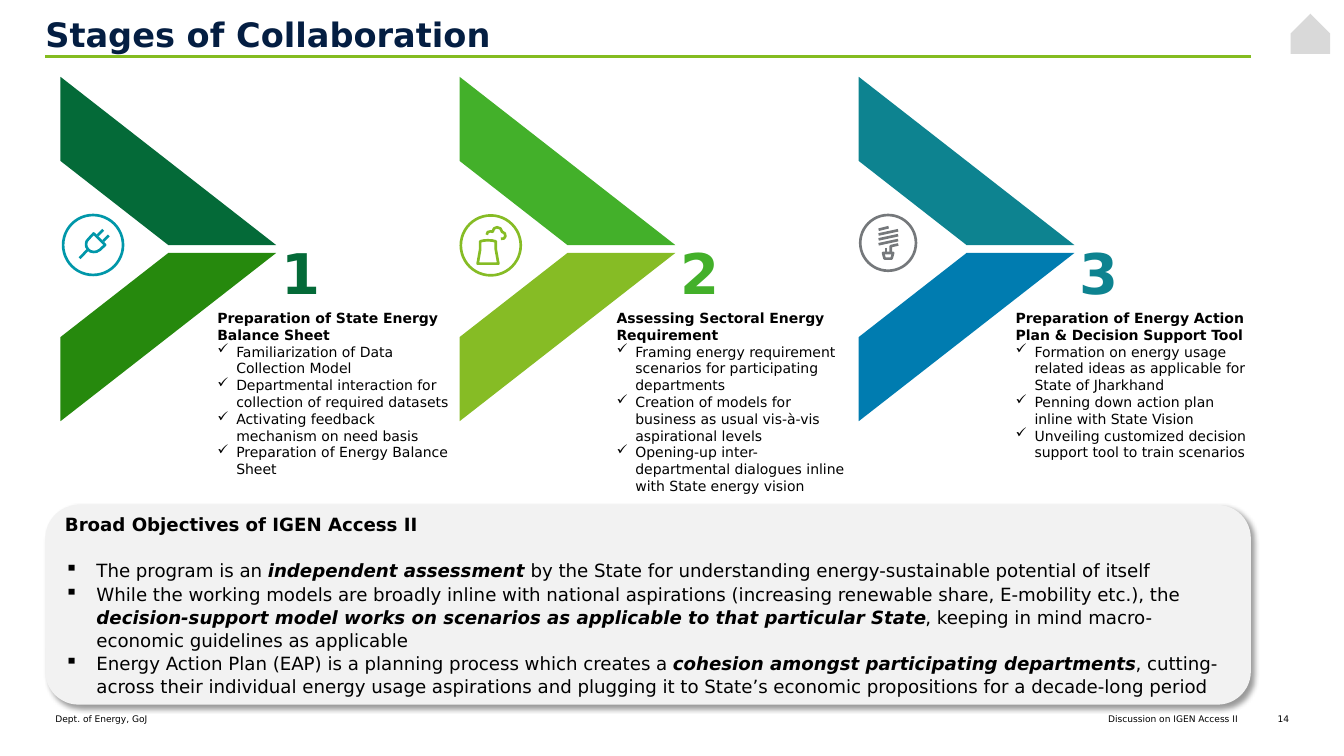
from lxml import etree
from pptx import Presentation
from pptx import util as u
from pptx.dml.color import RGBColor
from pptx.enum import shapes, text
from pptx.oxml import ns

Pt = u.Pt
NAVY = RGBColor(0x04, 0x1E, 0x42)
BLACK = RGBColor(0, 0, 0)
RULE_GREEN = RGBColor(0x84, 0xBC, 0x20)
DARK_GREEN = RGBColor(0x04, 0x6A, 0x38)
MID_GREEN = RGBColor(0x26, 0x89, 0x0D)
BRIGHT_GREEN = RGBColor(0x43, 0xB0, 0x2A)
LIME = RGBColor(0x86, 0xBC, 0x25)
TEAL = RGBColor(0x0D, 0x83, 0x90)
BLUE = RGBColor(0x00, 0x7C, 0xB0)
CYAN = RGBColor(0x00, 0x97, 0xA9)
GRAY = RGBColor(0x75, 0x78, 0x7B)
PANEL_GRAY = RGBColor(0xF2, 0xF2, 0xF2)
HOME_GRAY = RGBColor(0xD9, 0xD9, 0xD9)
LEFT, RIGHT = text.PP_ALIGN.LEFT, text.PP_ALIGN.RIGHT
TOP, MIDDLE = text.MSO_ANCHOR.TOP, text.MSO_ANCHOR.MIDDLE


def sub(parent, tag, **attributes):
    child = etree.SubElement(parent, ns.qn(tag))
    for key, value in attributes.items():
        child.set(key, str(value))
    return child


def write(frame, content, size, color=BLACK, bold=False, align=LEFT, bullet=None,
          indent=0, spacing=None, after=0, font="DejaVu Sans"):
    first = frame.paragraphs[0]
    paragraph = frame.add_paragraph() if first.runs else first
    if bullet:
        properties = paragraph._p.get_or_add_pPr()
        properties.set("marL", str(Pt(indent)))
        properties.set("indent", str(-Pt(indent)))
        sub(properties, "a:buChar", char=bullet)
    paragraph.alignment = align
    paragraph.space_before = Pt(0)
    paragraph.space_after = Pt(after)
    if spacing:
        paragraph.line_spacing = spacing
    pieces = [content] if isinstance(content, str) else content
    for position, piece in enumerate(pieces):
        emphasised = position % 2 == 1
        run = paragraph.add_run()
        run.text = piece
        run.font.name = font
        run.font.size = Pt(size)
        run.font.color.rgb = color
        run.font.bold = bold or emphasised
        run.font.italic = emphasised


class StageSlide:
    stroke = 1.9

    def __init__(self, presentation):
        self.slide = presentation.slides.add_slide(presentation.slide_layouts[5])
        self.items = self.slide.shapes

    def prepare(self, frame, inset=0, anchor=TOP):
        frame.word_wrap = True
        frame.auto_size = text.MSO_AUTO_SIZE.NONE
        frame.vertical_anchor = anchor
        frame.margin_left = frame.margin_right = Pt(inset)
        frame.margin_top = frame.margin_bottom = Pt(inset)
        return frame

    def title(self, content, x, y, w, h):
        heading = self.items.title
        heading.left, heading.top, heading.width, heading.height = map(Pt, (x, y, w, h))
        write(self.prepare(heading.text_frame), content, 24, NAVY, bold=True)

    def textbox(self, x, y, w, h, inset=0):
        box = self.items.add_textbox(Pt(x), Pt(y), Pt(w), Pt(h))
        return self.prepare(box.text_frame, inset)

    def rule(self, x1, y, x2):
        line = self.items.add_connector(
            shapes.MSO_CONNECTOR.STRAIGHT, Pt(x1), Pt(y), Pt(x2), Pt(y))
        line.line.color.rgb = RULE_GREEN
        line.line.width = Pt(2.25)
        sub(line._element.spPr, "a:effectLst")

    def shape(self, kind, x, y, w, h, fill, flip=False):
        item = self.items.add_shape(kind, Pt(x), Pt(y), Pt(w), Pt(h))
        item.shadow.inherit = False
        item.fill.solid()
        item.fill.fore_color.rgb = fill
        item.line.fill.background()
        if flip:
            item._element.spPr.xfrm.set("flipV", "1")
        return item

    def outline(self, item, color):
        item.shadow.inherit = False
        item.fill.background()
        item.line.color.rgb = color
        item.line.width = Pt(self.stroke)
        sub(item.line._get_or_add_ln(), "a:round")

    def icon(self, cx, cy, radius, color, strokes):
        ring = self.items.add_shape(shapes.MSO_SHAPE.OVAL, Pt(cx - radius), Pt(cy - radius),
                                    Pt(2 * radius), Pt(2 * radius))
        self.outline(ring, color)
        for closed, points in strokes:
            placed = [(Pt(cx + x), Pt(cy + y)) for x, y in points]
            builder = self.items.build_freeform(*placed[0], scale=1.0)
            builder.add_line_segments(placed[1:], close=closed)
            self.outline(builder.convert_to_shape(), color)

    def panel(self, x, y, w, h):
        item = self.shape(shapes.MSO_SHAPE.ROUNDED_RECTANGLE, x, y, w, h, PANEL_GRAY)
        effects = item._element.spPr.find(ns.qn("a:effectLst"))
        shadow = sub(effects, "a:outerShdw", blurRad=Pt(4), dist=Pt(3), dir=45 * 60000,
                     algn="tl", rotWithShape=0)
        sub(sub(shadow, "a:srgbClr", val="000000"), "a:alpha", val=40000)
        return self.prepare(item.text_frame, 7.2, MIDDLE)


PLUG = [
    (False, [(-9.7, 9.4), (-4, 3.6)]),
    (True, [(0.4, -8.2), (8.6, 0), (4.7, 3.6), (2.5, 4.8), (0.4, 5), (-1.8, 4.6), (-3.6, 3.2),
            (-4.8, 1.2), (-5, -0.7), (-4.6, -2.6), (-3.2, -4.3)]),
    (False, [(3.2, -6.8), (7.2, -10.8)]),
    (False, [(7.2, -2.8), (11.2, -6.8)]),
]
TOWER = [
    (True, [(-7.6, -2.9), (-5, -3.5), (-2.2, -3.7), (1, -3.5), (3.6, -2.9), (3.6, 2.9),
            (5.4, 13), (-9.4, 13), (-7.6, 2.9)]),
    (False, [(-2.9, -7.6), (-2.2, -9.5), (0, -10.1), (1.3, -9.7), (2.2, -12), (4.3, -13),
             (6.8, -12.2), (8.1, -9.7), (10, -8.6), (10.4, -6.5), (9.4, -5), (7.2, -4.7)]),
]
BULB = [(False, [(-6.8, -9.4), (0.4, -11.2)])]
BULB += [(False, [(-6.8, y), (7.2, y - 3)]) for y in (-6, -2.5, 1)]
BULB += [
    (False, [(7.2, 1.1), (1.8, 2.3), (1.8, 7.2)]),
    (False, [(-1.4, 3.6), (-1.4, 7.2)]),
    (True, [(-3.6, 7.2), (3.6, 7.2), (2.5, 11.2), (-2.5, 11.2)]),
]

STAGES = [
    ("Preparation of State Energy Balance Sheet",
     ["Familiarization of Data Collection Model",
      "Departmental interaction for collection of required datasets",
      "Activating feedback mechanism on need basis",
      "Preparation of Energy Balance Sheet"],
     DARK_GREEN, MID_GREEN, (66.5, 175, 21.4, CYAN, PLUG)),
    ("Assessing Sectoral Energy Requirement",
     ["Framing energy requirement scenarios for participating departments",
      "Creation of models for business as usual vis-à-vis aspirational levels",
      "Opening-up inter-departmental dialogues inline with State energy vision"],
     BRIGHT_GREEN, LIME, (350.6, 175.3, 21.4, LIME, TOWER)),
    ("Preparation of Energy Action Plan & Decision Support Tool",
     ["Formation on energy usage related ideas as applicable for State of Jharkhand",
      "Penning down action plan inline with State Vision",
      "Unveiling customized decision support tool to train scenarios"],
     TEAL, BLUE, (634.4, 173.5, 19.9, GRAY, BULB)),
]
OBJECTIVES = [
    ["The program is an ", "independent assessment ",
     "by the State for understanding energy-sustainable potential of itself"],
    ["While the working models are broadly inline with national aspirations "
     "(increasing renewable share, E-mobility etc.), the ",
     "decision-support model works on scenarios as applicable to that particular State",
     ", keeping in mind macro-economic guidelines as applicable"],
    ["Energy Action Plan (EAP) is a planning process which creates a ",
     "cohesion amongst participating departments",
     ", cutting-across their individual energy usage aspirations and plugging it to "
     "State’s economic propositions for a decade-long period"],
]
FOOTERS = [("Discussion on IGEN Access II", 499, 385.2, RIGHT),
           ("Dept. of Energy, GoJ", 39.6, 422, LEFT),
           ("14", 896.4, 24.5, RIGHT)]
STAGE_PITCH = 285.1


def main():
    presentation = Presentation()
    presentation.slide_width, presentation.slide_height = Pt(960), Pt(540)
    page = StageSlide(presentation)
    page.title("Stages of Collaboration", 32.4, 10.1, 696.2, 40.3)
    page.rule(32.4, 40.3, 893.5)
    for footer, x, w, align in FOOTERS:
        write(page.textbox(x, 509.8, w, 8), footer, 6.5, align=align)
    stripe = shapes.MSO_SHAPE.DIAGONAL_STRIPE
    for index, (heading, steps, upper, lower, icon) in enumerate(STAGES):
        shift = index * STAGE_PITCH
        page.shape(stripe, 43.2 + shift, 180.7, 154.1, 120.2, lower)
        page.shape(stripe, 43.2 + shift, 54.9, 154.1, 120.2, upper, flip=True)
        write(page.textbox(198 + shift, 167.8, 39.6, 50.4, 2.9),
              str(index + 1), 40, upper, bold=True)
        notes = page.textbox(155.3 + shift, 221, 167.8, 124)
        write(notes, heading, 10, bold=True)
        for step in steps:
            write(notes, step, 10, bullet="✓", indent=13.5)
        page.icon(*icon)
    panel = page.panel(32.4, 360.7, 861.1, 142.6)
    write(panel, "Broad Objectives of IGEN Access II", 13, bold=True, spacing=1.06, after=16.5)
    for objective in OBJECTIVES:
        write(panel, objective, 13, bullet="▪", indent=22.5, spacing=1.06)
    home = page.shape(shapes.MSO_SHAPE.PENTAGON, 921.6, 10.1, 28.8, 28.1, HOME_GRAY)
    home.rotation = 270
    presentation.save("out.pptx")


if __name__ == "__main__":
    main()
